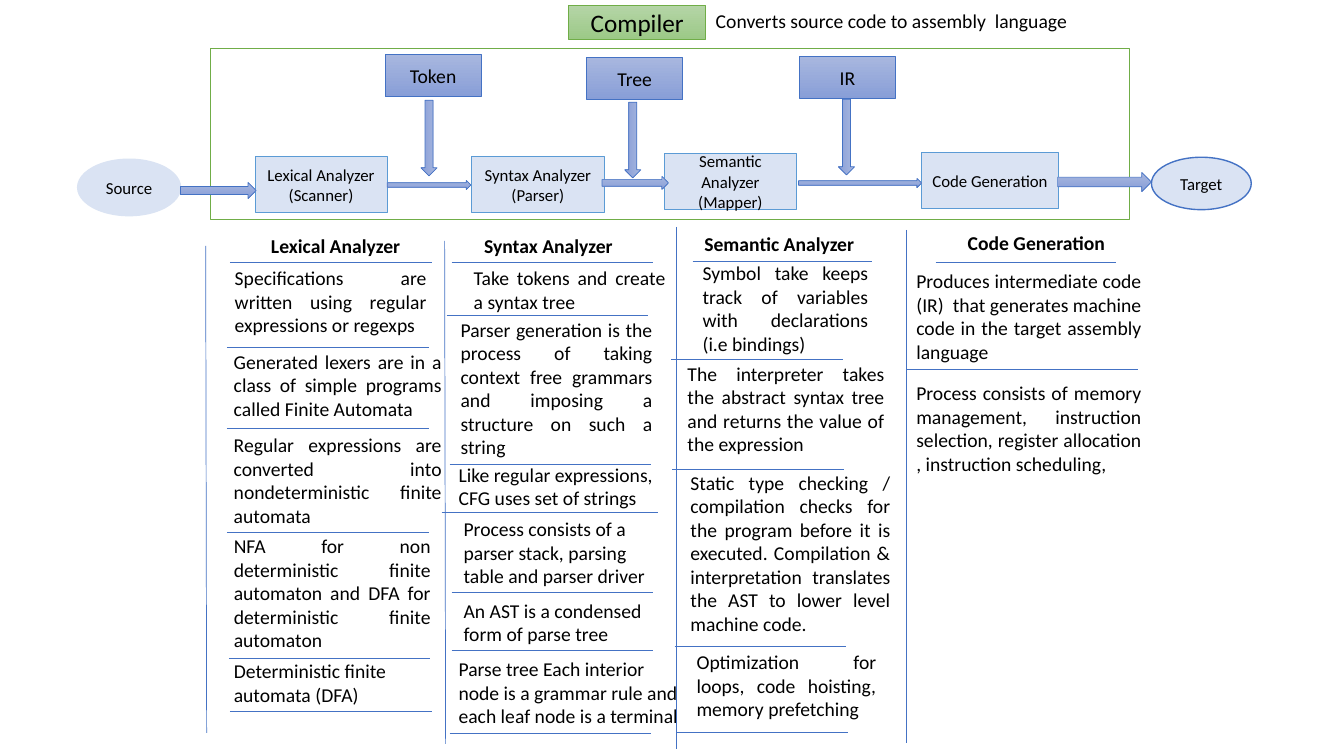
from lxml import etree
from pptx import Presentation
from pptx.dml.color import RGBColor
from pptx.enum.shapes import MSO_CONNECTOR, MSO_SHAPE
from pptx.enum.text import MSO_ANCHOR, PP_ALIGN
from pptx.oxml.ns import qn
from pptx.util import Inches, Pt

RECT, OVAL, ARROW = MSO_SHAPE.RECTANGLE, MSO_SHAPE.OVAL, MSO_SHAPE.RIGHT_ARROW
STRAIGHT, MIDDLE = MSO_CONNECTOR.STRAIGHT, MSO_ANCHOR.MIDDLE
LEFT, CENTER, JUST = PP_ALIGN.LEFT, PP_ALIGN.CENTER, PP_ALIGN.JUSTIFY
FONT, INK, BLUE, GREEN, PALE = "Calibri", "000000", "4472C4", "70AD47", "DAE3F3"
BLEND, LEAF = ("A8B7DF", "889ED7"), ("B5D5A7", "9CC987")

STAGES = [
    (1.76, 1.07, 1.31, "Lexical Analyzer\n(Scanner)"),
    (3.91, 1.07, 1.31, "Syntax Analyzer\n(Parser)"),
    (5.82, 1.04, 1.31, "Semantic Analyzer\n(Mapper)"),
    (8.37, 1.03, 1.36, "Code Generation"),
]
LINKS = [(1.02, 1.33, 0.75, 0.16), (3.07, 1.31, 0.83, 0.09),
         (5.2, 1.27, 0.66, 0.13), (7.15, 1.29, 1.22, 0.09),
         (9.72, 1.23, 0.93, 0.19)]
TAGS = [(3.05, 0.06, 0.06, 0.75, "Token"), (5.05, 0.09, 0.08, 0.74, "Tree"),
        (7.16, 0.08, 0.09, 0.72, "IR")]

COLUMNS = [
    {"left": 2.04, "title": ("Lexical Analyzer", 0.46, 0.03, 1.66),
     "side": (0.2, 5.03, 0.01),
     "rules": [(0.24, 0.36, 2), (0.21, 1.21, 2), (0.21, 2.01, 2),
               (0.21, 3.04, 2), (0.23, 4.29, 2), (0.24, 4.82, 2)],
     "notes": [
         (0.19, 0.35, 2.1, 3, JUST, "Specifications are written using regular expressions or regexps"),
         (0.18, 1.18, 2.26, 3, JUST, "Generated lexers are in a class of simple programs called Finite Automata"),
         (0.18, 2.01, 2.26, 4, JUST, "Regular expressions are converted into nondeterministic finite automata"),
         (0.18, 3.01, 2.15, 5, JUST, "NFA for non deterministic finite automaton and DFA for deterministic finite automaton"),
         (0.18, 4.25, 2.15, 2, LEFT, "Deterministic finite automata (DFA)")]},
    {"left": 4.41, "title": ("Syntax Analyzer", 0.2, 0.03, 1.66),
     "side": (0.15, 5.14, 0.01),
     "rules": [(0.07, 0.36, 2), (0.02, 0.89, 2), (0.05, 2.37, 2), (-0.03, 2.84, 2.15),
               (0.07, 3.64, 2), (0.07, 4.21, 2), (0.05, 5.04, 2)],
     "notes": [
         (0.19, 0.35, 2.1, 2, JUST, "Take tokens and create a syntax tree"),
         (0.06, 0.86, 2.1, 6, JUST, "Parser generation is the process of taking context free grammars and imposing a structure on such a string"),
         (0.04, 2.3, 2.22, 2, LEFT, "Like regular expressions, CFG uses set of strings"),
         (0.09, 2.84, 2.06, 3, LEFT, "Process consists of a parser stack, parsing table and parser driver"),
         (0.09, 3.65, 2.01, 2, LEFT, "An AST is a condensed form of parse tree"),
         (0.04, 4.23, 2.4, 3, LEFT, "Parse tree Each interior node is a grammar rule and each leaf node is a terminal")]},
    {"left": 6.71, "title": ("Semantic Analyzer", 0.09, 0.01, 1.86),
     "side": (0.01, 5.19, 0),
     "rules": [(0.16, 0.35, 1.78), (-0.05, 1.33, 1.7), (-0.04, 2.42, 1.7),
               (-0.02, 4.17, 1.7), (0, 5.03, 1.7)],
     "notes": [
         (0.16, 0.3, 1.84, 4, JUST, "Symbol take keeps track of variables with declarations (i.e bindings)"),
         (0.01, 1.3, 2.15, 4, JUST, "The interpreter takes the abstract syntax tree and returns the value of the expression"),
         (0.04, 2.38, 2.18, 7, JUST, "Static type checking / compilation checks for the program before it is executed. Compilation & interpretation translates the AST to lower level machine code."),
         (0.1, 4.16, 1.98, 3, JUST, "Optimization for loops, code hoisting, memory prefetching")]},
    {"left": 8.99, "title": ("Code Generation", 0.36, 0, 1.86),
     "side": (0.04, 5.13, 0),
     "rules": [(0.29, 0.36, 1.79), (0, 1.42, 2.3)],
     "notes": [
         (0, 0.38, 2.43, 4, JUST, "Produces intermediate code (IR)  that generates machine code in the target assembly language"),
         (0, 1.49, 2.43, 4, JUST, "Process consists of memory management, instruction selection, register allocation , instruction scheduling, ")]},
]


def color(code):
    """Turn a hex string into a colour."""
    return RGBColor.from_string(code)


def write(frame, text, size, align, bold=False):
    """Fill a text frame, one paragraph for each line."""
    frame.word_wrap = True
    for i, line in enumerate(text.split("\n")):
        para = frame.add_paragraph() if i else frame.paragraphs[0]
        para.alignment = align
        run = para.add_run()
        run.text = line
        run.font.name, run.font.size, run.font.bold = FONT, Pt(size), bold
        run.font.color.rgb = color(INK)


def shape(slide, kind, box, fill, edge, width=0.5, text="", size=12):
    """Add a preset shape with a plain or blended fill."""
    item = slide.shapes.add_shape(kind, *map(Inches, box))
    item.shadow.inherit = False
    if isinstance(fill, tuple):
        item.fill.gradient()
        item.fill.gradient_angle = 270
        for stop, place, code in zip(item.fill.gradient_stops, (0, 1), fill):
            stop.position = place
            stop.color.rgb = color(code)
    else:
        item.fill.solid()
        item.fill.fore_color.rgb = color(fill)
    item.line.color.rgb = color(edge)
    item.line.width = Pt(width)
    if text:
        item.text_frame.vertical_anchor = MIDDLE
        write(item.text_frame, text, size, CENTER)
    return item


def label(slide, x, y, w, rows, text, align, bold=False):
    """Add a text box as tall as its rows."""
    box = slide.shapes.add_textbox(*map(Inches, (x, y, w, 0.1 + 0.236 * rows)))
    write(box.text_frame, text, 14, align, bold)


def rule(slide, x, y, x2, y2):
    """Add a thin blue line."""
    line = slide.shapes.add_connector(STRAIGHT, *map(Inches, (x, y, x2, y2)))
    line.line.color.rgb = color(BLUE)
    line.line.width = Pt(0.5)
    etree.SubElement(line._element.spPr, qn("a:effectLst"))


def header(slide, x, y):
    """Place the heading and its summary."""
    shape(slide, RECT, (x, y, 1.36, 0.34), LEAF, GREEN, text="Compiler", size=18)
    label(slide, x + 1.36, y - 0.01, 4.42, 1, "Converts source code to assembly  language", LEFT)


def flow(slide, x, y):
    """Place the pipeline from source to target."""
    shape(slide, RECT, (x + 1.32, y, 9.11, 1.7), "FFFFFF", GREEN, 1)
    shape(slide, OVAL, (x, y + 1.1, 1.02, 0.56), PALE, PALE, 1, "Source")
    shape(slide, OVAL, (x + 10.65, y + 1.08, 0.99, 0.52), PALE, BLUE, 1, "Target")
    for dx, dy, w, text in STAGES:
        shape(slide, RECT, (x + dx, y + dy, w, 0.56), PALE, "5B9BD5", text=text)
    for dx, dy, w, h in LINKS:
        shape(slide, ARROW, (x + dx, y + dy, w, h), BLEND, BLUE)
    for dx, dy, right, down, text in TAGS:
        left, top = x + dx, y + dy
        arrow = shape(slide, ARROW, (left + right, top + down, 0.75, 0.16), BLEND, BLUE)
        arrow.rotation = 90
        shape(slide, RECT, (left, top, 0.95, 0.42), BLEND, BLUE, text=text, size=14)


def column(slide, x, y, title, side, rules, notes):
    """Place one titled column of notes beside its upright line."""
    text, dx, dy, w = title
    label(slide, x + dx, y + dy, w, 1, text, CENTER, True)
    top, end, slant = side
    rule(slide, x, y + top, x + slant, y + end)
    for dx, dy, w in rules:
        rule(slide, x + dx, y + dy, x + dx + w, y + dy)
    for dx, dy, w, rows, align, text in notes:
        label(slide, x + dx, y + dy, w, rows, text, align)


def main():
    """Build and save the slide."""
    deck = Presentation()
    deck.slide_width, deck.slide_height = Inches(13.33), Inches(7.5)
    slide = deck.slides.add_slide(deck.slide_layouts[6])
    flow(slide, 0.77, 0.48)
    header(slide, 5.64, 0.05)
    for col in COLUMNS:
        column(slide, col["left"], 2.24, col["title"], col["side"], col["rules"], col["notes"])
    deck.save("out.pptx")


if __name__ == "__main__":
    main()
